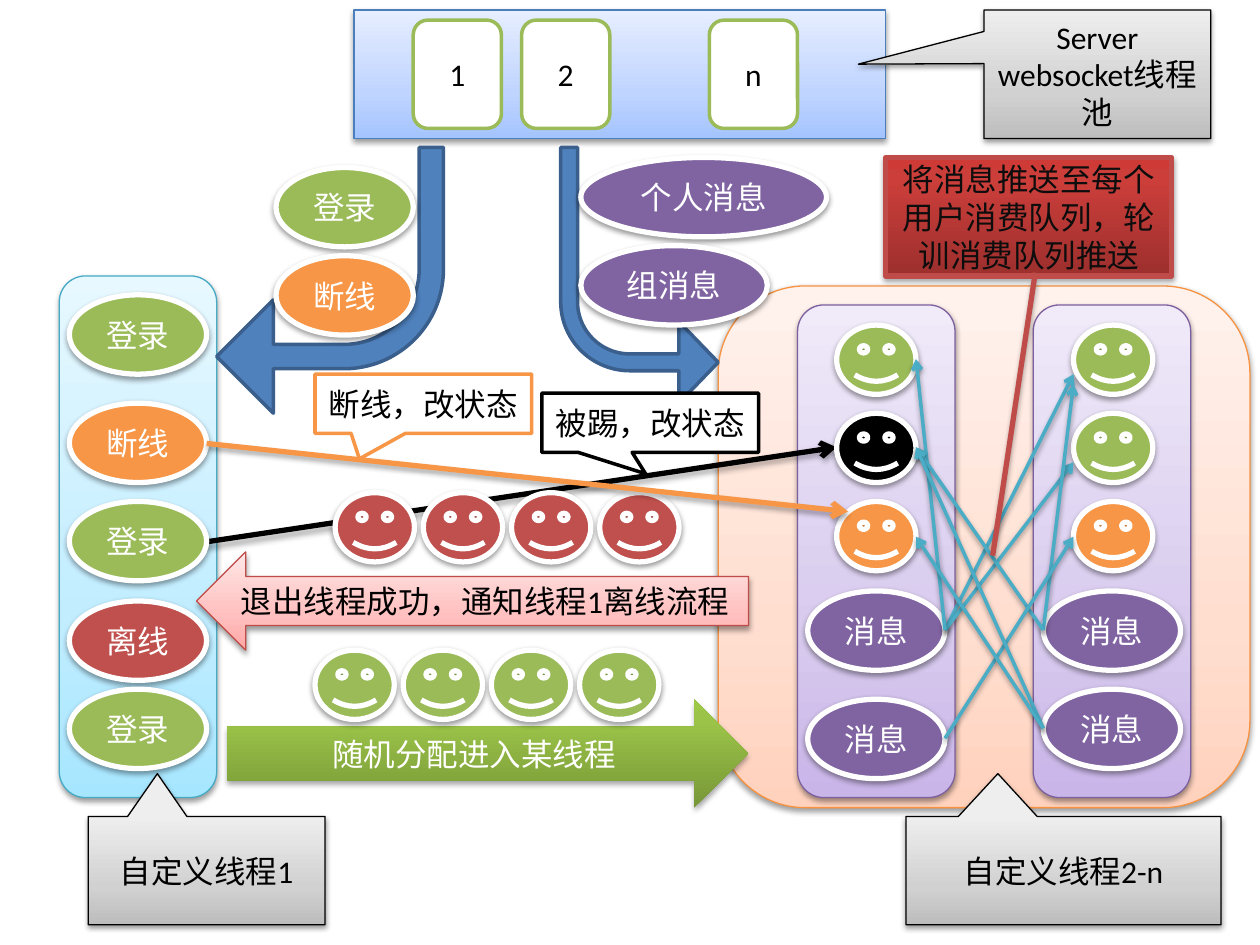
from lxml import etree
from pptx import Presentation
from pptx.dml.color import RGBColor
from pptx.enum.shapes import MSO_CONNECTOR, MSO_SHAPE
from pptx.enum.text import MSO_ANCHOR, PP_ALIGN
from pptx.oxml.ns import qn
from pptx.util import Inches, Pt

STRAIGHT = MSO_CONNECTOR.STRAIGHT
ROUNDED = MSO_SHAPE.ROUNDED_RECTANGLE
PROCESS = MSO_SHAPE.FLOWCHART_PROCESS
CALLOUT = MSO_SHAPE.RECTANGULAR_CALLOUT
LINE_CALLOUT = MSO_SHAPE.LINE_CALLOUT_1
BENT_ARROW = MSO_SHAPE.BENT_ARROW
LEFT_ARROW = MSO_SHAPE.LEFT_ARROW
RIGHT_ARROW = MSO_SHAPE.RIGHT_ARROW
OVAL = MSO_SHAPE.OVAL
SMILEY = MSO_SHAPE.SMILEY_FACE
MIDDLE = MSO_ANCHOR.MIDDLE
CENTER = PP_ALIGN.CENTER

COLORS = {
    "white": "FFFFFF", "black": "000000", "ink": "0D0D0D",
    "green": "9BBB59", "orange": "F79646", "red": "C0504D",
    "purple": "8064A2", "blue": "4F81BD", "teal": "4BACC6",
    "blue edge": "3A5F8C", "pool edge": "4B7EBC", "orange edge": "F69240",
    "cyan edge": "46AAC5", "purple edge": "7D60A0", "red edge": "BF4C48",
}
GRADIENTS = {
    "peach": [(0, "FFD2BD"), (35, "FFDED0"), (100, "FFF2ED")],
    "cyan": [(0, "A7E6FF"), (35, "C1EDFF"), (100, "E7F8FF")],
    "lilac": [(0, "C9B5E8"), (35, "D8CBEE"), (100, "F0EAF9")],
    "sky": [(0, "A4C4FF"), (35, "BFD4FF"), (100, "E6EEFF")],
    "gray": [(0, "BDBDBD"), (35, "D1D1D1"), (100, "EEEEEE")],
    "pink": [(0, "FFA6A5"), (35, "FFC0BF"), (100, "FFE7E7")],
    "leaf": [(0, "779737"), (80, "9BC348"), (100, "9DC746")],
    "brick": [(0, "9C2F2D"), (80, "CB3E3A"), (100, "CE3B37")],
}
SOFT = (38, 20000)
STRONG = (35, 23000)


class Diagram:
    """Draws the styled elements of the thread diagram on one slide."""

    def __init__(self, slide, font="Calibri", size=18):
        self.slide = slide
        self.font = font
        self.size = size

    def color(self, name):
        return RGBColor.from_string(COLORS[name])

    def add_effects(self, properties, shadow):
        effects = etree.SubElement(properties, qn("a:effectLst"))
        if shadow:
            opacity, distance = shadow
            outer = etree.SubElement(effects, qn("a:outerShdw"), blurRad="40000", dist=str(distance),
                                     dir="5400000", rotWithShape="0")
            black = etree.SubElement(outer, qn("a:srgbClr"), val=COLORS["black"])
            etree.SubElement(black, qn("a:alpha"), val=str(opacity * 1000))

    def fill(self, shape, name):
        if name in COLORS:
            shape.fill.solid()
            shape.fill.fore_color.rgb = self.color(name)
            return
        shape.fill.gradient()
        shape.fill.gradient_angle = 90
        stops = shape._element.spPr.find(qn("a:gradFill")).find(qn("a:gsLst"))
        for stop in list(stops):
            stops.remove(stop)
        for position, value in GRADIENTS[name]:
            stop = etree.SubElement(stops, qn("a:gs"), pos=str(position * 1000))
            etree.SubElement(stop, qn("a:srgbClr"), val=value)

    def shape(self, kind, box, fill, edge=None, width=0.75, text="", ink="black",
              adjustments=(), shadow=SOFT, flips=()):
        shape = self.slide.shapes.add_shape(kind, *map(Inches, box))
        for index, value in enumerate(adjustments):
            shape.adjustments[index] = value
        self.fill(shape, fill)
        if edge:
            shape.line.color.rgb = self.color(edge)
            shape.line.width = Pt(width)
        else:
            shape.line.fill.background()
        self.add_effects(shape._element.spPr, shadow)
        for flip in flips:
            shape._element.spPr.find(qn("a:xfrm")).set(flip, "1")
        if text:
            frame = shape.text_frame
            frame.text = text
            frame.word_wrap = True
            frame.vertical_anchor = MIDDLE
            paragraph = frame.paragraphs[0]
            paragraph.alignment = CENTER
            font = paragraph.runs[0].font
            font.name = self.font
            font.size = Pt(self.size)
            font.color.rgb = self.color(ink)
        return shape

    def event(self, left, top, text, fill, width=1.09):
        self.shape(OVAL, (left, top, width, 0.63), fill, "white", 3, text, "white")

    def user(self, left, top, fill):
        self.shape(SMILEY, (left, top, 0.63, 0.55), fill, "white", 3)

    def arrow(self, start, end, color, width, shadow):
        connector = self.slide.shapes.add_connector(STRAIGHT, *map(Inches, start + end))
        connector.line.color.rgb = self.color(color)
        connector.line.width = Pt(width)
        etree.SubElement(connector.line._get_or_add_ln(), qn("a:tailEnd"), type="arrow")
        self.add_effects(connector._element.spPr, shadow)


presentation = Presentation()
presentation.slide_width = Inches(10)
presentation.slide_height = Inches(7.5)
diagram = Diagram(presentation.slides.add_slide(presentation.slide_layouts[6]))

diagram.shape(ROUNDED, (5.7, 2.27, 4.22, 4.14), "peach", "orange edge")
diagram.shape(ROUNDED, (0.47, 2.19, 1.25, 4.14), "cyan", "cyan edge")
for left in (8.2, 6.33):
    diagram.shape(ROUNDED, (left, 2.42, 1.25, 3.91), "lilac", "purple edge")
diagram.shape(PROCESS, (2.81, 0.08, 4.22, 1.02), "sky", "pool edge")

for box, text, pointer in (
    ((0.7, 6.48, 1.88, 0.86), "自定义线程1", (-0.208, -0.895)),
    ((7.19, 6.48, 2.5, 0.86), "自定义线程2-n", (-0.208, -0.895)),
    ((7.81, 0.08, 1.8, 1.02), "Server websocket线程池", (-1.054, -0.079)),
):
    diagram.shape(CALLOUT, box, "gray", "black", text=text, adjustments=pointer)

diagram.arrow((1.64, 4.3), (6.64, 3.55), "black", 3, STRONG)
for left, text in ((3.28, "1"), (4.14, "2"), (5.63, "n")):
    diagram.shape(ROUNDED, (left, 0.16, 0.7, 0.86), "white", "green", 2, text, shadow=None)

diagram.shape(BENT_ARROW, (1.72, 1.17, 1.8, 2.11), "blue", "blue edge", 2, shadow=None,
              adjustments=(0.107, 0.25, 0.25, 0.438), flips=("flipH", "flipV"))
diagram.shape(BENT_ARROW, (4.45, 1.17, 1.25, 2.03), "blue", "blue edge", 2, shadow=None,
              adjustments=(0.107, 0.259, 0.25, 0.438), flips=("flipV",))
diagram.shape(LEFT_ARROW, (1.56, 4.38, 4.38, 0.78), "pink", "red edge",
              text="退出线程成功，通知线程1离线流程")
diagram.shape(RIGHT_ARROW, (1.8, 5.55, 4.14, 0.86), "leaf", text="随机分配进入某线程",
              ink="white", shadow=STRONG)

for index in range(4):
    diagram.user(2.5 + 0.7 * index, 5.16, "green")
    diagram.user(2.66 + 0.7 * index, 3.91, "red")
for left, fills in ((6.64, ("green", "black", "orange")), (8.52, ("green", "green", "orange"))):
    for row, fill in enumerate(fills):
        diagram.user(left, 2.58 + 0.7 * row, fill)

diagram.event(4.61, 1.25, "个人消息", "purple", 1.95)
diagram.event(4.61, 1.95, "组消息", "purple", 1.48)
for left, top, text, fill in (
    (2.19, 1.33, "登录", "green"),
    (2.19, 2.03, "断线", "orange"),
    (0.55, 2.34, "登录", "green"),
    (0.55, 3.2, "断线", "orange"),
    (0.55, 3.98, "登录", "green"),
    (0.55, 4.77, "离线", "red"),
    (0.55, 5.47, "登录", "green"),
    (6.41, 4.69, "消息", "purple"),
    (8.28, 4.69, "消息", "purple"),
    (6.41, 5.55, "消息", "purple"),
    (8.28, 5.47, "消息", "purple"),
):
    diagram.event(left, top, text, fill)

for message, targets in (
    ((7.5, 5), ((8.52, 2.97), (8.52, 3.67), (7.27, 2.85))),
    ((8.28, 5), ((8.52, 3.05), (7.27, 3.55))),
    ((7.5, 5.86), ((8.52, 4.26),)),
    ((8.28, 5.78), ((7.27, 3.55), (7.27, 4.26))),
):
    for target in targets:
        diagram.arrow(message, target, "teal", 2, SOFT)

diagram.shape(LINE_CALLOUT, (7.03, 1.25, 2.27, 0.94), "brick", "red edge", 3,
              "将消息推送至每个用户消费队列，轮训消费队列推送", "ink",
              (0.973, 0.523, 3.361, 0.374), STRONG)
diagram.arrow((1.64, 3.52), (6.73, 4.06), "orange", 3, STRONG)
for left, top, text, edge, pointer in (
    (2.5, 2.97, "断线，改状态", "orange", (-0.295, 0.93)),
    (4.3, 3.12, "被踢，改状态", "black", (-0.021, 0.862)),
):
    diagram.shape(CALLOUT, (left, top, 1.72, 0.47), "white", edge, 2, text,
                  adjustments=pointer, shadow=None)

presentation.save("out.pptx")
